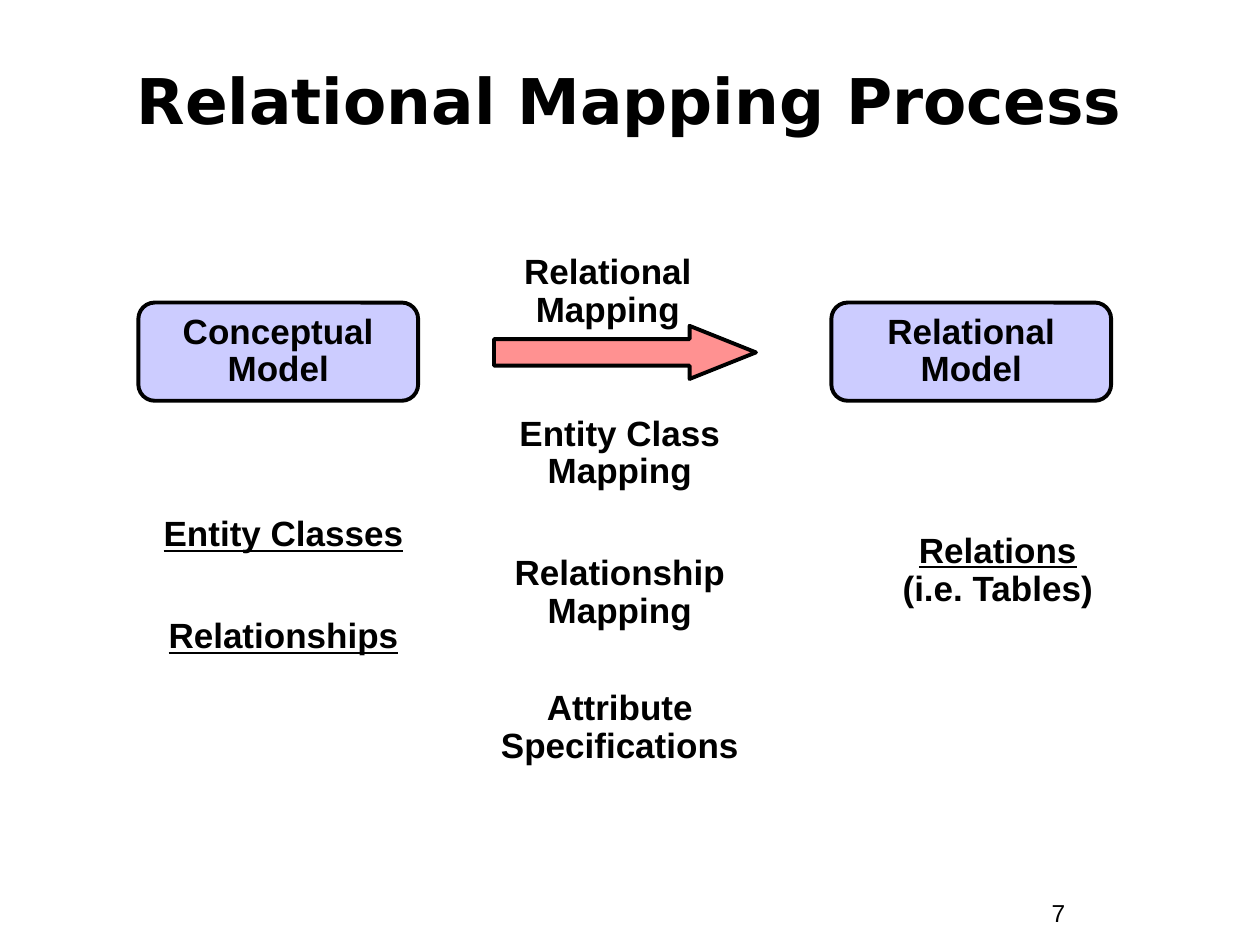
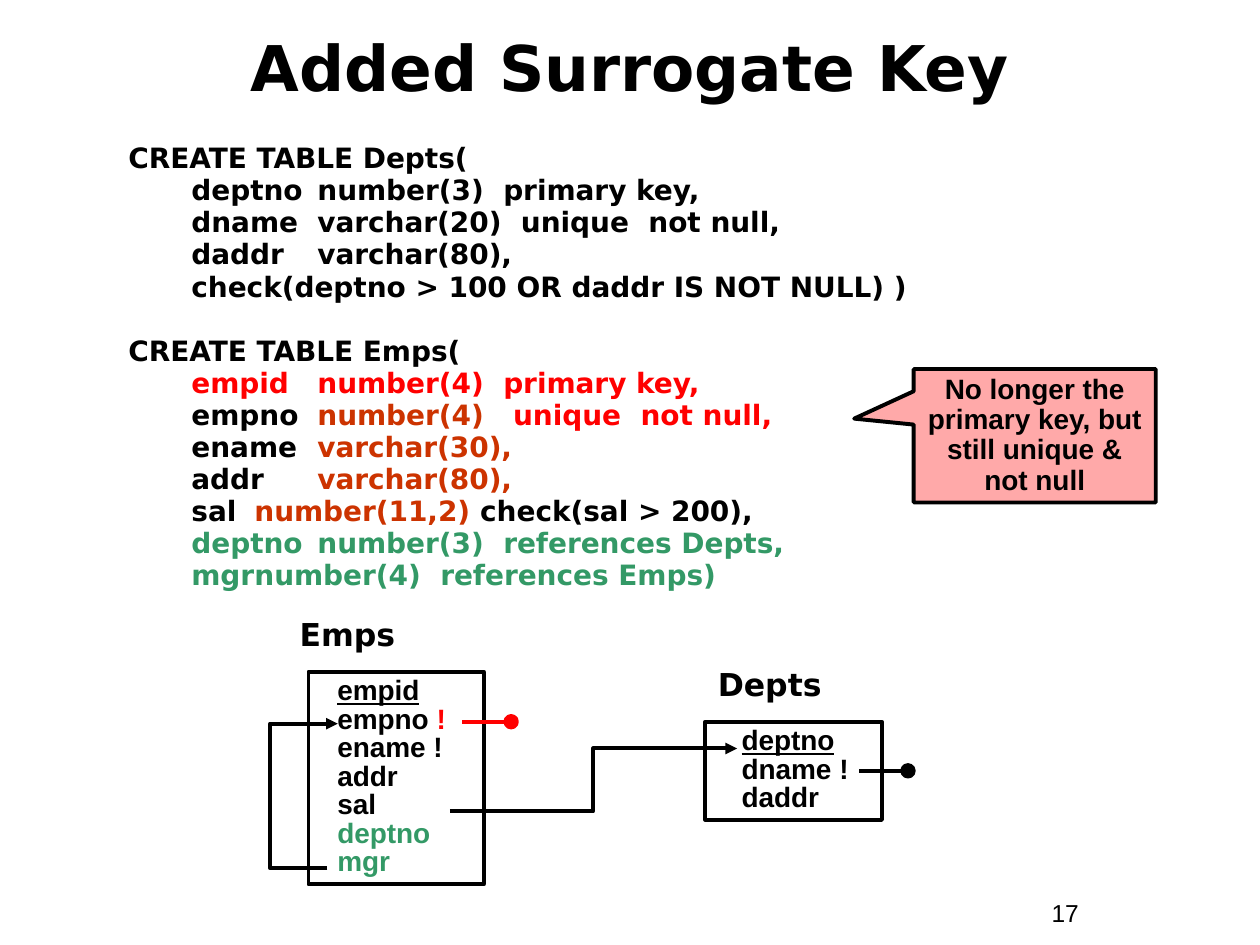
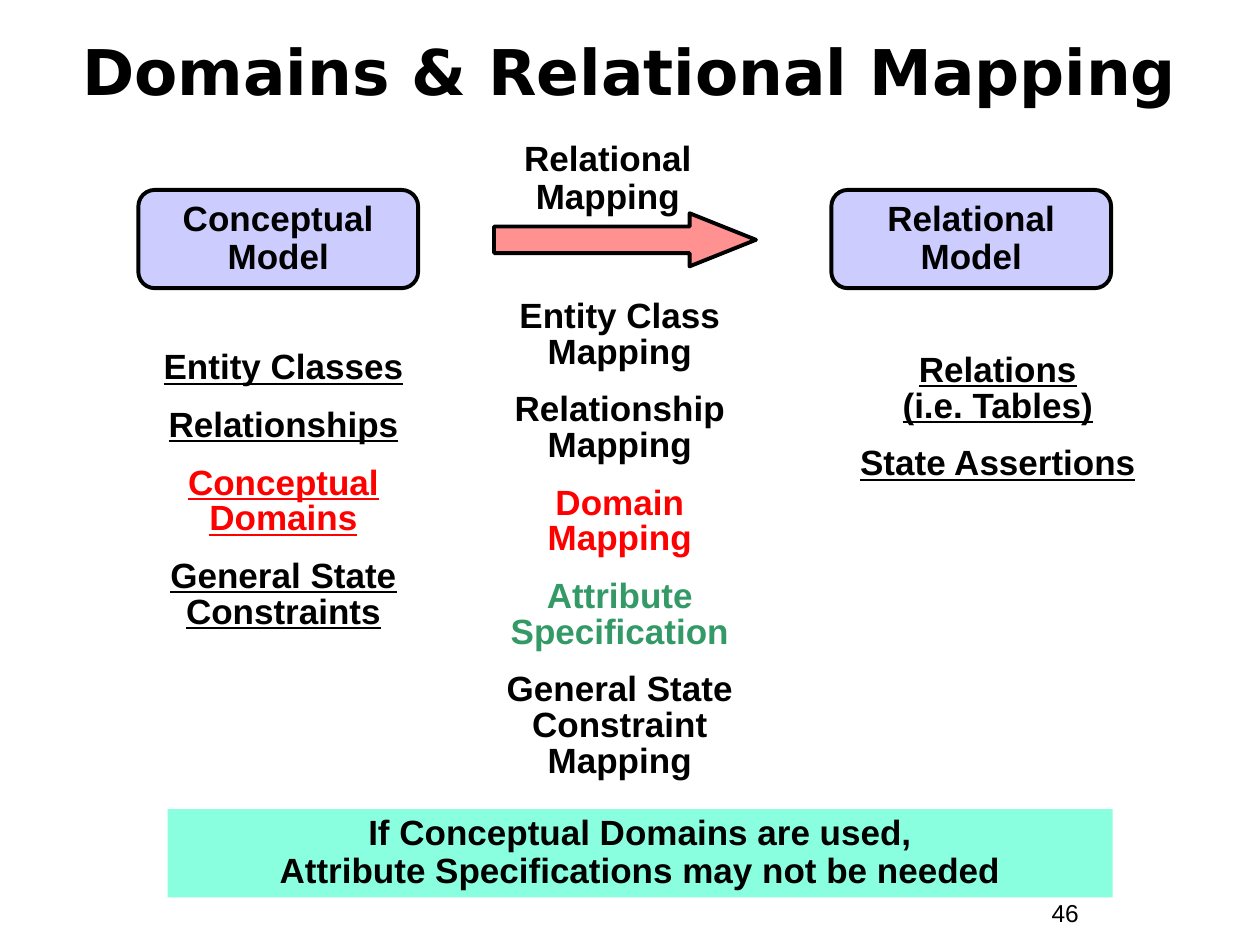
from lxml import etree
from pptx import Presentation
from pptx.dml.color import RGBColor
from pptx.enum.shapes import MSO_CONNECTOR as LINK, MSO_SHAPE as FORM
from pptx.enum.text import MSO_ANCHOR as ANCHOR, MSO_AUTO_SIZE as FIT, PP_ALIGN as ALIGN
from pptx.oxml.ns import qn
from pptx.util import Cm, Pt

SANS, HEAD = "Arial", "DejaVu Sans"
BLACK, RED, RUST, GREEN = "000000", "FF0000", "CC3300", "339966"
LILAC, PINK, ROSE, MINT = "CCCCFF", "FF9191", "FFA9A9", "89FFE0"
EDGE = Pt(2.25)


def rgb(code):
    return RGBColor.from_string(code)


def write(frame, paras, size=20, font=SANS, color=BLACK, bold=True, under=False,
          align=ALIGN.LEFT, line=1.0, gap=0, left=0, first=0, tab=None):
    """Fill a frame; a paragraph is a string or a list of strings and (text, format) pairs.

    gap is one space before, or one for each paragraph after the first;
    left, first and tab are centimetres; a vertical tab breaks the line.
    """
    frame.word_wrap = True
    frame.auto_size = FIT.NONE
    gaps = gap if isinstance(gap, list) else [gap] * (len(paras) - 1)
    for i, (para, space) in enumerate(zip(paras, [0] + gaps)):
        p = frame.paragraphs[0] if i == 0 else frame.add_paragraph()
        p.alignment, p.line_spacing, p.space_before = align, line, Pt(space)
        props = p._p.get_or_add_pPr()
        indent = first[i] if isinstance(first, list) else first
        props.set("marL", str(Cm(left)))
        props.set("indent", str(Cm(indent)))
        if tab:
            stops = etree.SubElement(props, qn("a:tabLst"))
            etree.SubElement(stops, qn("a:tab"), pos=str(Cm(tab)), algn="l")
        for part in [para] if isinstance(para, str) else para:
            text, own = (part, {}) if isinstance(part, str) else part
            for j, piece in enumerate(text.split("\v")):
                if j:
                    p.add_line_break()
                run = p.add_run()
                run.text = piece
                run.font.name, run.font.size, run.font.bold = font, Pt(size), bold
                run.font.underline = own.get("under", under)
                run.font.color.rgb = rgb(own.get("color", color))


class Deck:
    def __init__(self):
        self.prs = Presentation()
        self.prs.slide_width, self.prs.slide_height = Cm(25.4), Cm(19.05)
        self.slide = None

    def start(self, title, number, x, y, w, h):
        self.slide = self.prs.slides.add_slide(self.prs.slide_layouts[5])
        head = self.slide.shapes.title
        head.left, head.top, head.width, head.height = map(Cm, (x, y, w, h))
        head.text_frame.vertical_anchor = ANCHOR.MIDDLE
        write(head.text_frame, [title], size=36, font=HEAD, align=ALIGN.CENTER)
        self.text([str(number)], 20.95, 17.98, 2.33, 0.87, size=14, bold=False)

    def text(self, paras, x, y, w, h, **style):
        box = self.slide.shapes.add_textbox(*map(Cm, (x, y, w, h)))
        write(box.text_frame, paras, **style)

    def shape(self, form, x, y, w, h, fill=None, edge=BLACK, adjust=(),
              paras=(), anchor=ANCHOR.MIDDLE, **style):
        item = self.slide.shapes.add_shape(form, *map(Cm, (x, y, w, h)))
        item.shadow.inherit = False
        for i, value in enumerate(adjust):
            item.adjustments[i] = value
        if fill:
            item.fill.solid()
            item.fill.fore_color.rgb = rgb(fill)
        else:
            item.fill.background()
        if edge:
            item.line.color.rgb, item.line.width = rgb(edge), EDGE
        else:
            item.line.fill.background()
        if paras:
            item.text_frame.vertical_anchor = anchor
            write(item.text_frame, paras, **style)

    def link(self, kind, x1, y1, x2, y2, color=BLACK):
        item = self.slide.shapes.add_connector(kind, *map(Cm, (x1, y1, x2, y2)))
        item.line.color.rgb, item.line.width = rgb(color), EDGE
        etree.SubElement(item._element.spPr, qn("a:effectLst"))
        return item

    def elbow(self, x1, y1, x2, y2, bend):
        """Draw a bent arrow that turns at x = bend."""
        item = self.link(LINK.ELBOW, x1, y1, x2, y2)
        ratio = round((bend - x1) / (x2 - x1) * 100000)
        guides = item._element.spPr.find(qn("a:prstGeom")).get_or_add_avLst()
        etree.SubElement(guides, qn("a:gd"), name="adj1", fmla=f"val {ratio}")
        etree.SubElement(item.line._get_or_add_ln(), qn("a:tailEnd"), type="triangle")

    def pin(self, x, y, color=BLACK):
        """Draw a line to the right from (x, y) that ends in a dot."""
        size = 0.23
        self.shape(FORM.OVAL, x + 0.87, y - size / 2, size, size, fill=color, edge=color)
        self.link(LINK.STRAIGHT, x + 0.89, y, x, y, color)

    def models(self, top):
        """Draw the two models and the mapping arrow between them."""
        for name, x in (("Conceptual", 2.79), ("Relational", 16.76)):
            self.shape(FORM.ROUNDED_RECTANGLE, x, top, 5.64, 1.98, fill=LILAC,
                       adjust=[0.167], paras=[name + "\vModel"],
                       align=ALIGN.CENTER, line=0.9)
        self.shape(FORM.RIGHT_ARROW, 9.96, top + 0.47, 5.28, 1.07, fill=PINK,
                   adjust=[0.5, 1.25])
        self.text(["Relational\vMapping"], 10.03, top - 1.1, 4.45, 1.78,
                  align=ALIGN.CENTER, line=0.9)

    def column(self, paras, x, y, h, **style):
        self.text(paras, x, y, 6.35, h, align=ALIGN.CENTER, **style)

    def entity(self, name, fields, x, y, w, h, label, left):
        self.text([name], *label, 1.02, size=18, font=HEAD)
        self.shape(FORM.RECTANGLE, x, y, w, h, paras=fields, anchor=ANCHOR.TOP,
                   size=16, line=0.85, left=left)


LEFT, MID, RIGHT = 2.54, 9.32, 16.94


def process(deck):
    deck.start("Relational Mapping Process", 7, 0.84, 0.84, 23.7, 2.34)
    deck.models(6.1)
    deck.column(["Entity Classes", "Relationships"], LEFT, 10.29, 3.07,
                line=0.9, gap=36.6, under=True)
    deck.column(["Entity Class Mapping", "Relationship\vMapping",
                 "Attribute Specifications"], MID, 8.26, 7.32, line=0.9, gap=[36.6, 33.7])
    deck.column([[("Relations", {"under": True}), "\v(i.e. Tables)"]],
                RIGHT, 10.62, 1.78, line=0.9)


def surrogate(deck):
    red, rust, green = ({"color": c} for c in (RED, RUST, GREEN))
    key = {"under": True}
    deck.start("Added Surrogate Key", 17, 2.54, 0.61, 20.32, 1.47)
    code = [
        "CREATE TABLE Depts(",
        "deptno\tnumber(3)  primary key,",
        "dname\tvarchar(20)  unique  not null,",
        "daddr\tvarchar(80),",
        "check(deptno > 100 OR daddr IS NOT NULL) )",
        "CREATE TABLE Emps(",
        [("empid\tnumber(4)  primary key,", red)],
        ["empno\t", ("number(4)   ", rust), ("unique  not null,", red)],
        ["ename\t", ("varchar(30),", rust)],
        ["addr\t", ("varchar(80),", rust)],
        ["sal\t", ("number(11,2) ", rust), "check(sal > 200),"],
        [("deptno\tnumber(3)  references Depts,", green)],
        [("mgr\tnumber(4)  references Emps)", green)],
    ]
    heads = [line[0] == "C" for line in code]
    deck.text(code, 2.34, 2.82, 20.32, 9.53, size=16, font=HEAD, line=0.85,
              gap=[20.3 if head else 2 for head in heads[1:]],
              first=[0 if head else 1.27 for head in heads], tab=4.6)

    deck.entity("Emps", [[("empid", key)], ["empno", (" !", red)], "ename !", "addr",
                         "sal", [("deptno", green)], [("mgr", green)]],
                6.22, 13.54, 3.53, 4.29, label=(5.79, 12.27, 5.46), left=0.33)
    deck.entity("Depts", [[("deptno", key)], "dname !", "daddr"],
                14.22, 14.55, 3.56, 1.98, label=(14.22, 13.28, 3.35), left=0.48)
    deck.elbow(9.07, 16.36, 14.86, 15.09, bend=11.96)
    deck.elbow(6.6, 17.5, 6.81, 14.59, bend=5.44)
    deck.pin(17.32, 15.54)
    deck.pin(9.32, 14.55, RED)
    deck.shape(FORM.RECTANGULAR_CALLOUT, 18.42, 7.44, 4.88, 2.69, fill=ROSE,
               adjust=[-0.746, -0.128],
               paras=["No longer the primary key, but still unique & not null"],
               size=16, align=ALIGN.CENTER, line=0.9)


def domains(deck):
    red, green = {"color": RED}, {"color": GREEN}
    deck.start("Domains & Relational Mapping", 46, 0.84, 0.25, 23.7, 2.34)
    deck.models(3.83)
    style = {"line": 0.85, "gap": 12.5}
    deck.column(["Entity Classes", "Relationships", [("Conceptual Domains", red)],
                 "General State Constraints"], LEFT, 6.96, 5.89, under=True, **style)
    deck.column(["Entity Class Mapping", "Relationship\vMapping",
                 [("Domain\vMapping", red)], [("Attribute Specification", green)],
                 "General State Constraint Mapping"], MID, 5.92, 9.96, **style)
    deck.column(["Relations\v(i.e. Tables)", "State Assertions"],
                RIGHT, 7.01, 2.87, under=True, **style)
    deck.shape(FORM.RECTANGLE, 3.38, 16.31, 19.05, 1.78, fill=MINT, edge=None,
               paras=["If Conceptual Domains are used,\v"
                      "Attribute Specifications may not be needed"],
               anchor=ANCHOR.TOP, align=ALIGN.CENTER, line=0.9)


def main():
    deck = Deck()
    for build in (process, surrogate, domains):
        build(deck)
    deck.prs.save("out.pptx")


if __name__ == "__main__":
    main()
